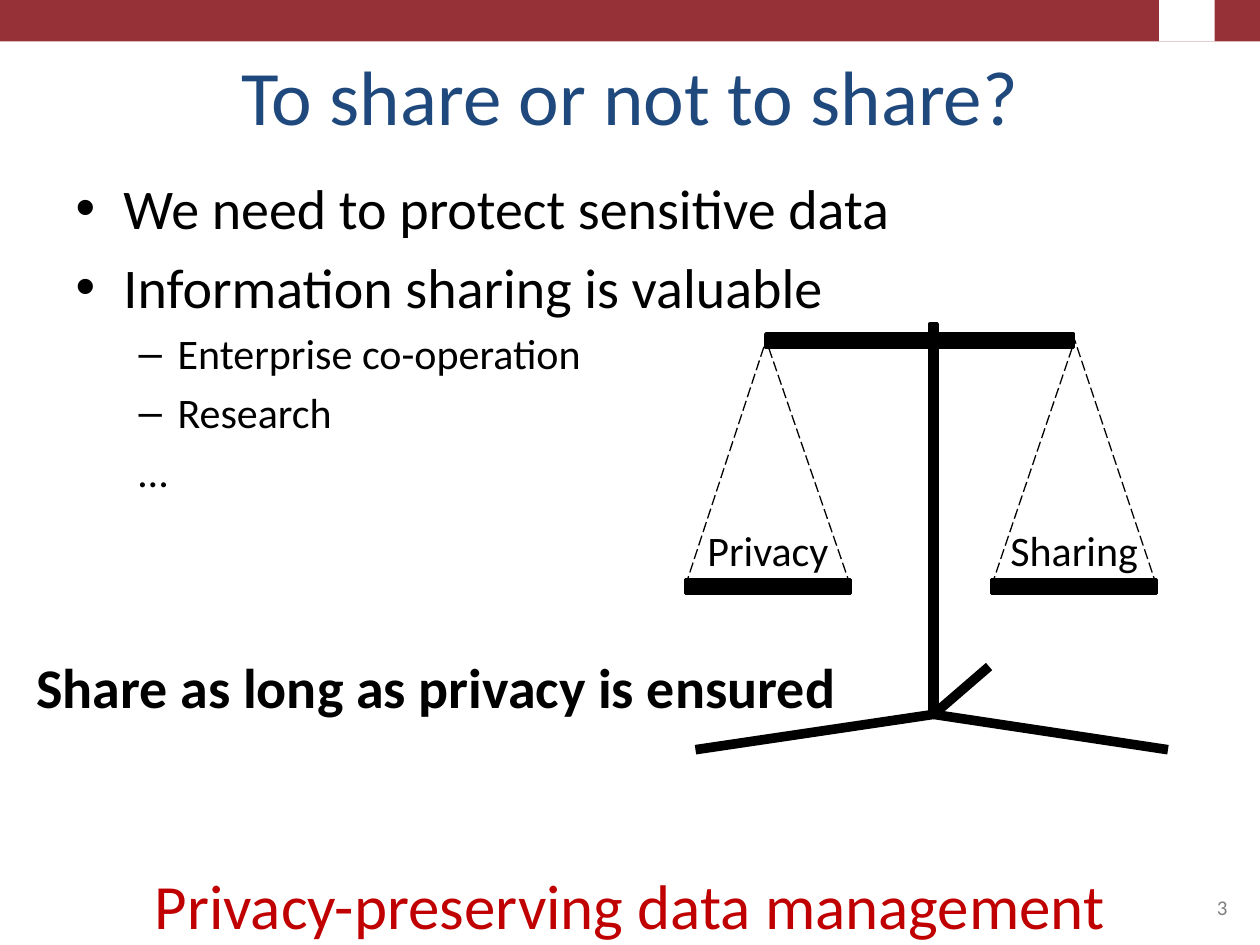
"""Builds the slide that weighs privacy against sharing on a balance scale."""
import pptx
import pptx.util
import pptx.dml.color
import pptx.enum.dml
import pptx.enum.shapes
import pptx.enum.text
import pptx.oxml.ns
import lxml.etree

Inches = pptx.util.Inches
Align = pptx.enum.text.PP_ALIGN
Anchor = pptx.enum.text.MSO_ANCHOR

COLORS = {"banner": "963237", "title": "1F497D", "ink": "000000",
          "accent": "C00000", "number": "808080", "paper": "FFFFFF"}

TITLE = "To share or not to share?"
BULLETS = [
    ("We need to protect sensitive data", 0, "•"),
    ("Information sharing is valuable", 0, "•"),
    ("Enterprise co-operation", 1, "–"),
    ("Research", 1, "–"),
    ("…", 1, None),
]
LEVELS = [{"size": 32, "margin": 0.38, "indent": -0.38},
          {"size": 24, "margin": 0.81, "indent": -0.31}]
PLAIN_INDENT = {"margin": 0.5, "indent": 0}

PANS = [("Privacy", 5.44, 6.08), ("Sharing", 7.87, 8.53)]
PAN_TOP, PAN_WIDTH, BAR_HEIGHT = 4.6, 1.31, 0.11
BEAM = (6.08, 2.65, 2.44, BAR_HEIGHT)
POST = (7.38, 2.57, 0.06, 3.1)
FOOT = (7.41, 5.67)
LEG_ENDS = [(5.52, 5.95), (9.27, 5.95), (7.85, 5.29)]
LABEL_SIZE = (3.34, 0.5)

NOTES = [
    ("Privacy-preserving data management", (0, 6.83, 10, 0.71),
     {"size": 36, "color": "accent"}, Align.CENTER, Anchor.TOP),
    ("Share as long as privacy is ensured", (0.19, 5.13, 7.47, 0.64),
     {"size": 32, "color": "ink", "bold": True}, Align.LEFT, Anchor.TOP),
    ("3", (7.17, 6.83, 2.67, 0.52),
     {"size": 12, "color": "number"}, Align.RIGHT, Anchor.BOTTOM),
]


def rgb(name):
    return pptx.dml.color.RGBColor.from_string(COLORS[name])


def place(shape, area):
    for side, value in zip(("left", "top", "width", "height"), area):
        setattr(shape, side, Inches(value))


def write(para, text, size, color, bold=False):
    span = para.add_run()
    span.text = text
    formats = {"name": "Calibri", "size": pptx.util.Pt(size), "bold": bold}
    for key, value in formats.items():
        setattr(span.font, key, value)
    span.font.color.rgb = rgb(color)


def add_text(page, text, area, style, align, anchor):
    box = page.shapes.add_textbox(*map(Inches, area))
    box.text_frame.word_wrap = True
    box.text_frame.vertical_anchor = anchor
    para = box.text_frame.paragraphs[0]
    para.alignment = align
    write(para, text, **style)


def add_bar(page, area, color, line_width=None):
    bar = page.shapes.add_shape(pptx.enum.shapes.MSO_SHAPE.RECTANGLE, *map(Inches, area))
    bar.shadow.inherit = False
    bar.fill.solid()
    bar.fill.fore_color.rgb = rgb(color)
    if line_width:
        bar.line.color.rgb = rgb(color)
        bar.line.width = pptx.util.Pt(line_width)
    else:
        bar.line.fill.background()


def add_line(page, start, end, width, dash=None):
    line = page.shapes.add_connector(
        pptx.enum.shapes.MSO_CONNECTOR.STRAIGHT, *map(Inches, start + end))
    line.line.color.rgb = rgb("ink")
    line.line.width = pptx.util.Pt(width)
    if dash:
        line.line.dash_style = dash
    lxml.etree.SubElement(line._element.spPr, pptx.oxml.ns.qn("a:effectLst"))


def set_bullet(para, mark, margin, indent):
    properties = para._p.get_or_add_pPr()
    properties.set("marL", str(Inches(margin)))
    properties.set("indent", str(Inches(indent)))
    tag = "a:buChar" if mark else "a:buNone"
    bullet = lxml.etree.SubElement(properties, pptx.oxml.ns.qn(tag))
    if mark:
        bullet.set("char", mark)


def fill_placeholders(page):
    title, body = page.shapes.title, page.placeholders[1]
    place(title, (0.5, 0.3, 9, 0.87))
    title.text_frame.vertical_anchor = Anchor.BOTTOM
    heading = title.text_frame.paragraphs[0]
    heading.alignment = Align.CENTER
    write(heading, TITLE, 44, "title")

    place(body, (0.5, 1.33, 9, 5.37))
    for index, (text, level, mark) in enumerate(BULLETS):
        frame = body.text_frame
        para = frame.add_paragraph() if index else frame.paragraphs[0]
        style = LEVELS[level]
        indents = style if mark else PLAIN_INDENT
        para.level = level
        set_bullet(para, mark, indents["margin"], indents["indent"])
        para.space_before = pptx.util.Pt(0.2 * style["size"] if index else 0)
        write(para, text, style["size"], "ink")


def draw_scale(page):
    for area in (BEAM, POST):
        add_bar(page, area, "ink", 2)
    for end in LEG_ENDS:
        add_line(page, FOOT, end, 5.5)
    for label, left, hook in PANS:
        add_bar(page, (left, PAN_TOP, PAN_WIDTH, BAR_HEIGHT), "ink", 2)
        for edge in (left, left + PAN_WIDTH):
            add_line(page, (edge, 4.65), (hook, 2.7), 0.75,
                     pptx.enum.dml.MSO_LINE.LONG_DASH)
        width, height = LABEL_SIZE
        area = (left + (PAN_WIDTH - width) / 2, 4.11, width, height)
        add_text(page, label, area, {"size": 24, "color": "ink"},
                 Align.CENTER, Anchor.TOP)


def main():
    deck = pptx.Presentation()
    deck.slide_width, deck.slide_height = Inches(10), Inches(7.5)
    page = deck.slides.add_slide(deck.slide_layouts[1])
    add_bar(page, (0, 0, 10, 0.33), "banner")
    add_bar(page, (9.2, 0, 0.44, 0.33), "paper")
    fill_placeholders(page)
    draw_scale(page)
    for note in NOTES:
        add_text(page, *note)
    deck.save("out.pptx")


if __name__ == "__main__":
    main()
